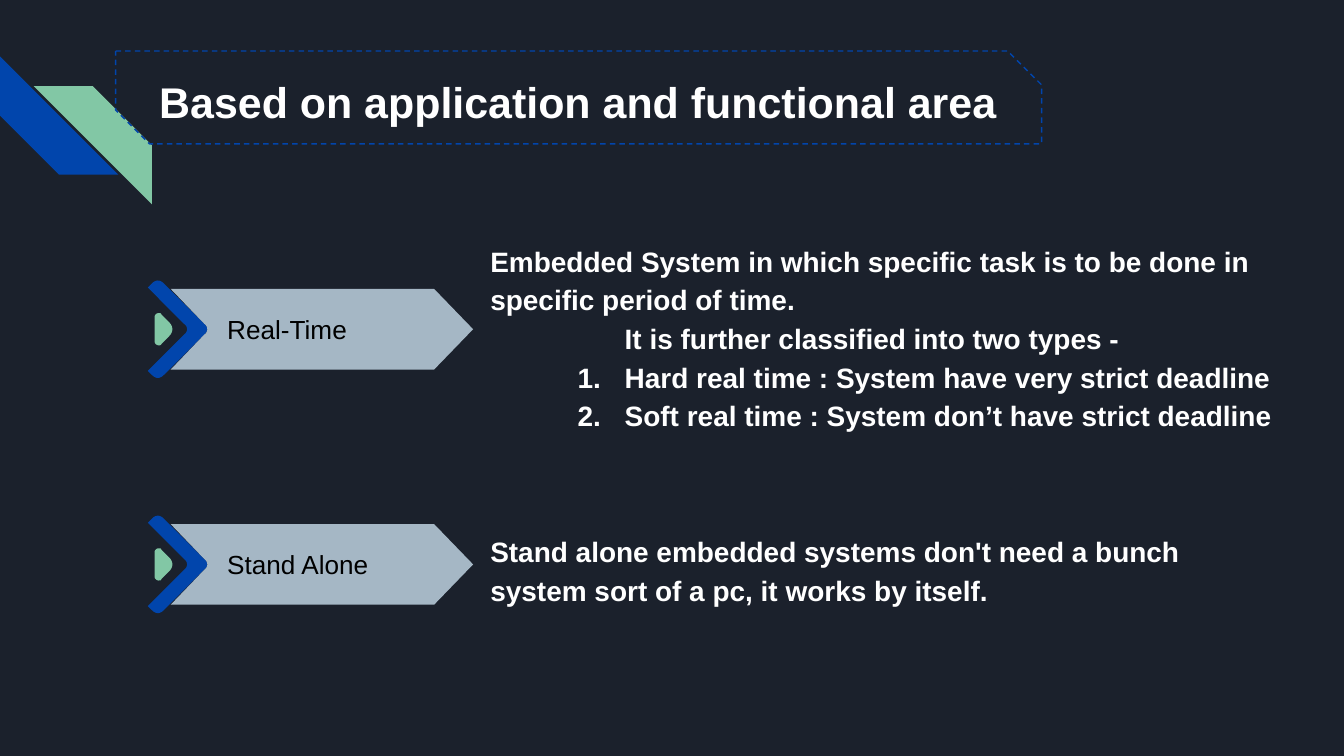
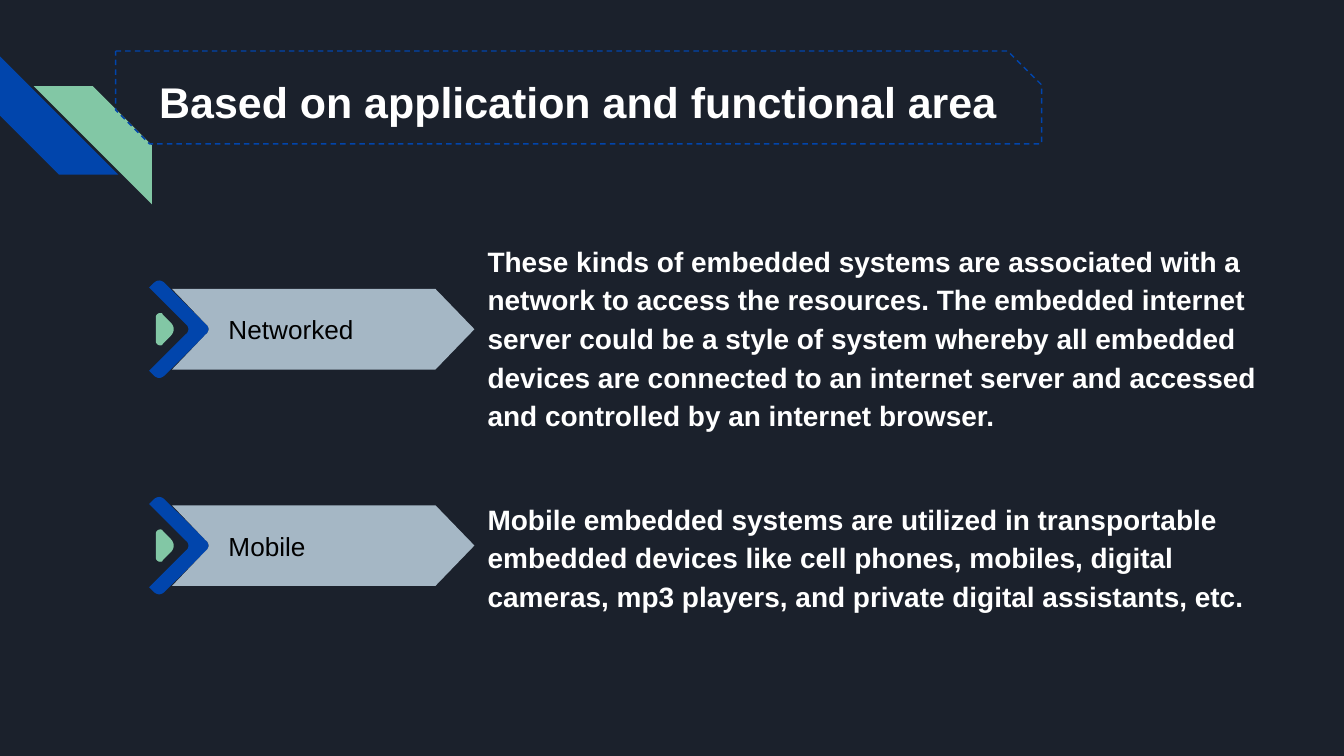
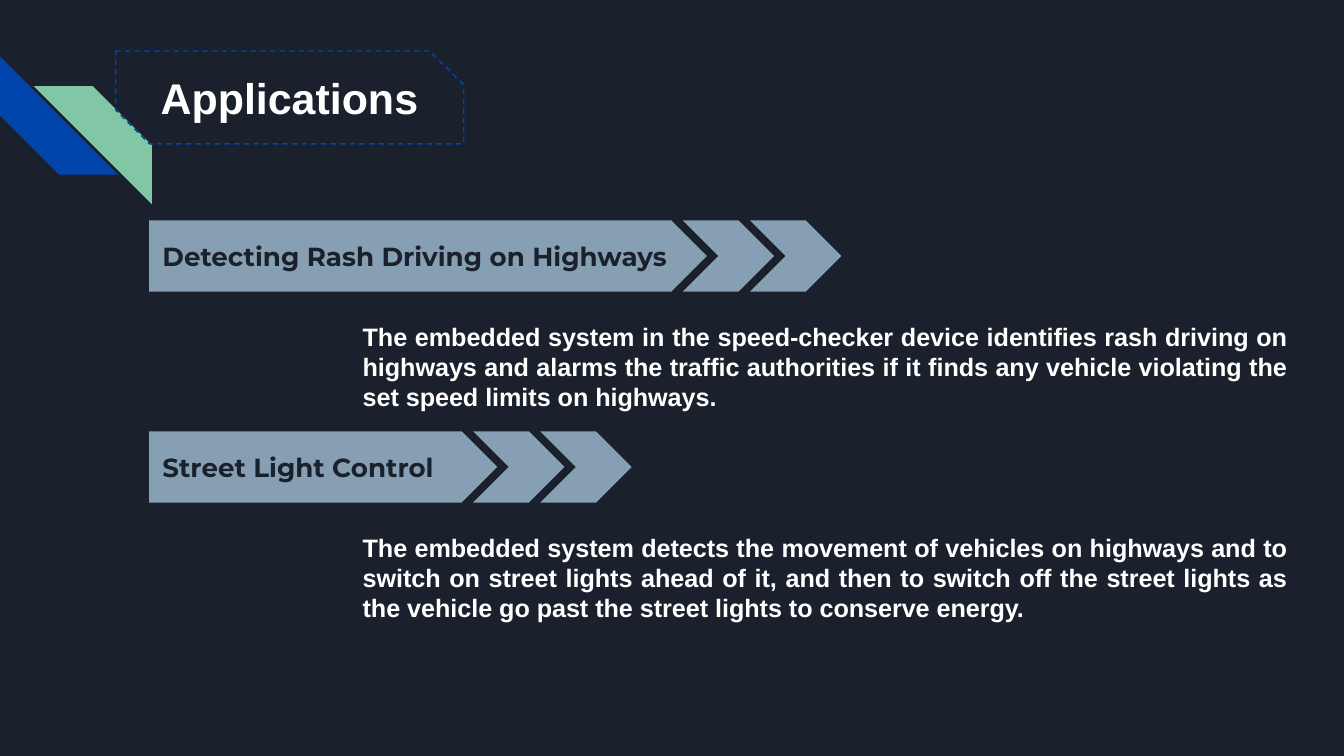
from lxml import etree
from pptx import Presentation
from pptx.dml.color import RGBColor
from pptx.enum.dml import MSO_LINE
from pptx.enum.shapes import MSO_SHAPE
from pptx.enum.text import MSO_ANCHOR, MSO_AUTO_SIZE, PP_ALIGN
from pptx.oxml.ns import qn
from pptx.util import Inches, Pt

NAVY = RGBColor(0x1B, 0x21, 0x2C)
BLUE = RGBColor(0x01, 0x45, 0xAC)
GREEN = RGBColor(0x82, 0xC7, 0xA5)
PALE = RGBColor(0xA5, 0xB7, 0xC5)
STEEL = RGBColor(0x86, 0x9F, 0xB2)
WHITE = RGBColor(0xFF, 0xFF, 0xFF)
BLACK = RGBColor(0, 0, 0)

# Content: paragraphs are (style, text); label rows give the middle of the tag
AREA = "Based on application and functional area"
TYPES = [
    {"tag_x": 1.10, "text_x": 3.55, "rows": [
        ("Real-Time", 2.45, 1.68, 1.65, [
            ("plain", "Embedded System in which specific task is to be done in "
                      "specific period of time."),
            ("indent", "It is further classified into two types -"),
            ("number", "Hard real time : System have very strict deadline"),
            ("number", "Soft real time : System don’t have strict deadline")]),
        ("Stand Alone", 4.2, 3.84, 0.86, [
            ("plain", "Stand alone embedded systems don't need a bunch system "
                      "sort of a pc, it works by itself.")])]},
    {"tag_x": 1.11, "text_x": 3.53, "rows": [
        ("Networked", 2.45, 1.68, 1.65, [
            ("plain", "These kinds of embedded systems are associated with a "
                      "network to access the resources. The embedded internet "
                      "server could be a style of system whereby all embedded "
                      "devices are connected to an internet server and accessed "
                      "and controlled by an internet browser.")]),
        ("Mobile", 4.06, 3.6, 1.36, [
            ("plain", "Mobile embedded systems are utilized in transportable "
                      "embedded devices like cell phones, mobiles, digital "
                      "cameras, mp3 players, and private digital assistants, "
                      "etc.")])]},
]
USES = [
    ("Detecting Rash Driving on Highways", 4.15, 1.64, 2.29,
     "The embedded system in the speed-checker device identifies rash driving "
     "on highways and alarms the traffic authorities if it finds any vehicle "
     "violating the set speed limits on highways."),
    ("Street Light Control", 2.59, 3.21, 3.86,
     "The embedded system detects the movement of vehicles on highways and to "
     "switch on street lights ahead of it, and then to switch off the street "
     "lights as the vehicle go past the street lights to conserve energy."),
]

# Tag outlines from the left edge and the middle: pairs are corners,
# sixes are curves (two handles and an end)
HOOK = [(0, -.31), (.03, -.34), (.06, -.37, .09, -.37, .12, -.34),
        (.42, -.04), (.45, -.02, .45, .02, .42, .04),
        (.12, .34), (.09, .37, .06, .37, .03, .34), (0, .31),
        (.27, .04), (.3, .02, .3, -.02, .27, -.04)]
DOT = [(.05, -.09), (.05, -.11, .07, -.12, .08, -.12),
       (.09, -.12, .1, -.12, .1, -.11), (.16, -.05),
       (.19, -.02, .19, .02, .16, .05), (.1, .11),
       (.1, .12, .09, .12, .08, .12), (.07, .12, .05, .11, .05, .09)]
BAR = [(.17, -.3), (.42, -.04), (.45, -.02, .45, .02, .42, .04),
       (.17, .3), (2.13, .3), (2.42, 0), (2.13, -.3)]


def paint(shape, fill=None):
    shape.shadow.inherit = False
    shape.line.fill.background()
    if fill is None:
        shape.fill.background()
    else:
        shape.fill.solid()
        shape.fill.fore_color.rgb = fill


def add_form(shapes, kind, x, y, w, h, fill=None, adj=(0.5,)):
    form = shapes.add_shape(kind, Inches(x), Inches(y), Inches(w), Inches(h))
    for i, value in enumerate(adj):
        form.adjustments[i] = value
    paint(form, fill)
    return form


def set_frame(frame, anchor=MSO_ANCHOR.TOP, left=0.1):
    frame.word_wrap = True
    frame.auto_size = MSO_AUTO_SIZE.NONE
    frame.vertical_anchor = anchor
    frame.margin_left = Inches(left)
    frame.margin_top = frame.margin_right = frame.margin_bottom = Inches(0.1)


def style(para, size, color, bold=True, name="Arial", align=PP_ALIGN.LEFT):
    para.alignment = align
    font = para.font
    font.name, font.size, font.bold = name, Pt(size), bold
    font.color.rgb = color


def add_box(slide, x, y, w, h):
    frame = slide.shapes.add_textbox(
        Inches(x), Inches(y), Inches(w), Inches(h)).text_frame
    set_frame(frame)
    return frame


def set_list(para, kind):
    props = para._p.get_or_add_pPr()
    props.set("marL", str(Inches(1)))
    props.set("indent", str(Inches(-0.35 if kind == "number" else 0)))
    if kind == "number":
        tint = etree.SubElement(props, qn("a:buClr"))
        etree.SubElement(tint, qn("a:srgbClr"), val=str(WHITE))
        etree.SubElement(props, qn("a:buAutoNum"), type="arabicPeriod")


def flatten(path, steps=8):
    points = [path[0]]
    for part in path[1:]:
        if len(part) == 2:
            points.append(part)
            continue
        knots = [points[-1], part[:2], part[2:4], part[4:]]
        for i in range(1, steps + 1):
            t = i / steps
            u = 1 - t
            rates = (u ** 3, 3 * u * u * t, 3 * u * t * t, t ** 3)
            points.append(tuple(sum(r * k[axis] for r, k in zip(rates, knots))
                                for axis in (0, 1)))
    return points


def add_path(shapes, path, x, mid, fill):
    first, *rest = [(Inches(x + dx), Inches(mid + dy))
                    for dx, dy in flatten(path)]
    pen = shapes.build_freeform(*first)
    pen.add_line_segments(rest, close=True)
    form = pen.convert_to_shape()
    paint(form, fill)
    return form


def add_tag(slide, label, x, mid):
    shapes = slide.shapes.add_group_shape().shapes
    add_path(shapes, HOOK, x, mid, BLUE)
    add_path(shapes, DOT, x, mid, GREEN)
    frame = add_path(shapes, BAR, x, mid, PALE).text_frame
    set_frame(frame, MSO_ANCHOR.MIDDLE, left=0.42)
    frame.text = label
    style(frame.paragraphs[0], 14, BLACK, bold=False)


def add_banner(slide, label, width, y):
    shapes = slide.shapes.add_group_shape().shapes
    plate = add_form(shapes, MSO_SHAPE.PENTAGON, 1.11, y, width, 0.53, STEEL)
    set_frame(plate.text_frame, MSO_ANCHOR.MIDDLE)
    plate.text_frame.text = label
    style(plate.text_frame.paragraphs[0], 14, NAVY, name="Montserrat")
    for i in range(2):
        add_form(shapes, MSO_SHAPE.CHEVRON, 0.93 + width + 0.5 * i, y,
                 0.68, 0.53, STEEL)


def add_slide(deck, text, width, spacing):
    slide = deck.slides.add_slide(deck.slide_layouts[5])
    spot = [0.86, 0.38, width, 0.69]
    edge = add_form(slide.shapes, MSO_SHAPE.SNIP_2_DIAG_RECTANGLE, *spot,
                    adj=(0, 0.365)).line
    edge.color.rgb = BLUE
    edge.width = Pt(0.75)
    edge.dash_style = MSO_LINE.DASH
    title = slide.shapes.title
    title.left, title.top, title.width, title.height = map(Inches, spot)
    set_frame(title.text_frame, MSO_ANCHOR.MIDDLE)
    title.text_frame.text = text
    para = title.text_frame.paragraphs[0]
    para.line_spacing = spacing
    style(para, 23, WHITE, align=PP_ALIGN.CENTER)
    return slide


def dress_master(deck, slide):
    """Give the master its background and the two corner stripes."""
    master = deck.slide_master
    master.background.fill.solid()
    master.background.fill.fore_color.rgb = NAVY
    blue, green = [
        add_form(slide.shapes, MSO_SHAPE.DIAGONAL_STRIPE, x, y, 0.88, 0.88, fill)
        for x, y, fill in ((0, 0.42, BLUE), (0.25, 0.64, GREEN))]
    blue.rotation = 270
    green.element.spPr.get_or_add_xfrm().set("flipH", "1")
    for i, stripe in enumerate((blue, green)):
        stripe.element.nvSpPr.cNvPr.set("id", str(20 + i))
        master.shapes.element.append(stripe.element)


def add_types(deck, page):
    slide = add_slide(deck, AREA, 6.89, 1.15)
    for label, mid, top, height, paras in page["rows"]:
        add_tag(slide, label, page["tag_x"], mid)
        frame = add_box(slide, page["text_x"], top, 6.07, height)
        for i, (kind, text) in enumerate(paras):
            para = frame.add_paragraph() if i else frame.paragraphs[0]
            para.text = text
            if kind != "plain":
                set_list(para, kind)
            para.line_spacing = 1.15
            style(para, 15, WHITE)


def add_uses(deck):
    slide = add_slide(deck, "Applications", 2.59, 1.0)
    for label, width, y, top, text in USES:
        add_banner(slide, label, width, y)
        frame = add_box(slide, 2.6, top, 7.08, 0.9)
        frame.text = text
        para = frame.paragraphs[0]
        para.space_after = Pt(18)
        style(para, 13.5, WHITE, align=PP_ALIGN.JUSTIFY)


def main():
    deck = Presentation()
    # Widescreen, 16 to 9
    deck.slide_width = Inches(10)
    deck.slide_height = Inches(10) * 9 // 16
    for page in TYPES:
        add_types(deck, page)
    add_uses(deck)
    dress_master(deck, deck.slides[0])
    deck.save("out.pptx")


if __name__ == "__main__":
    main()
